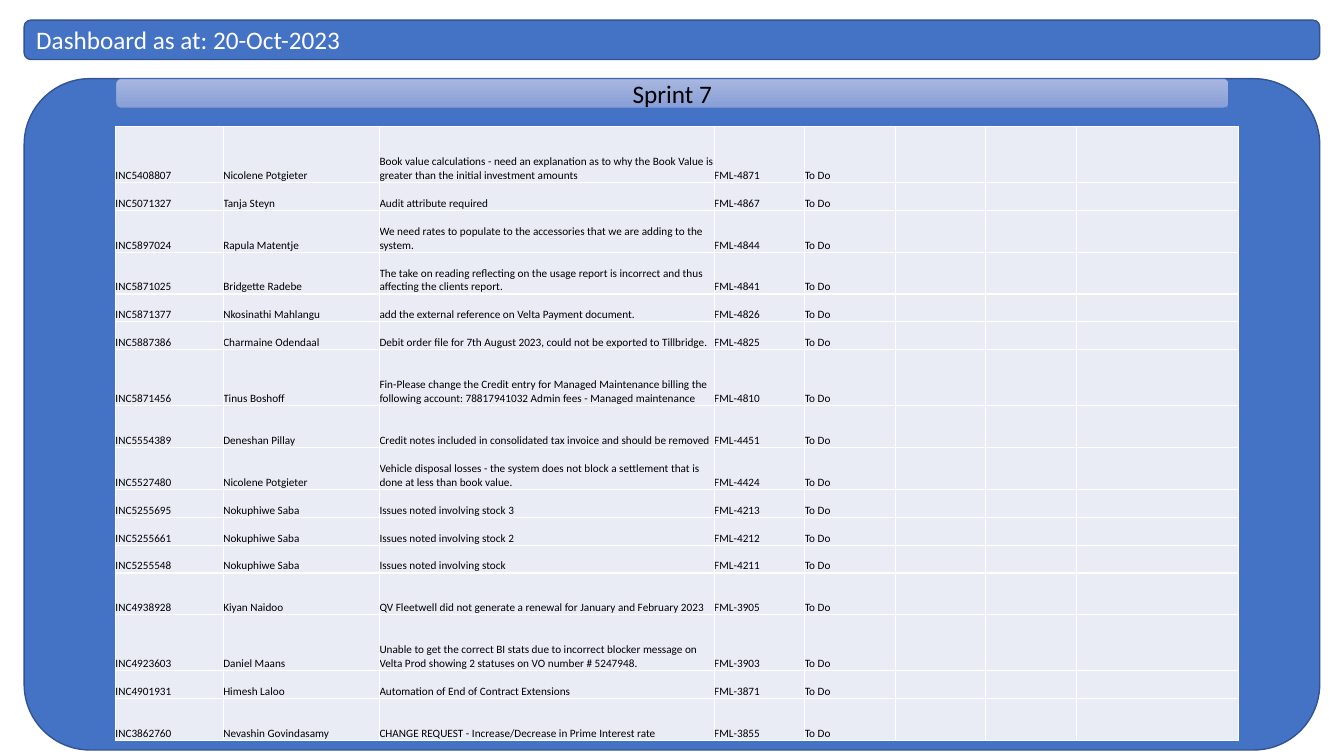
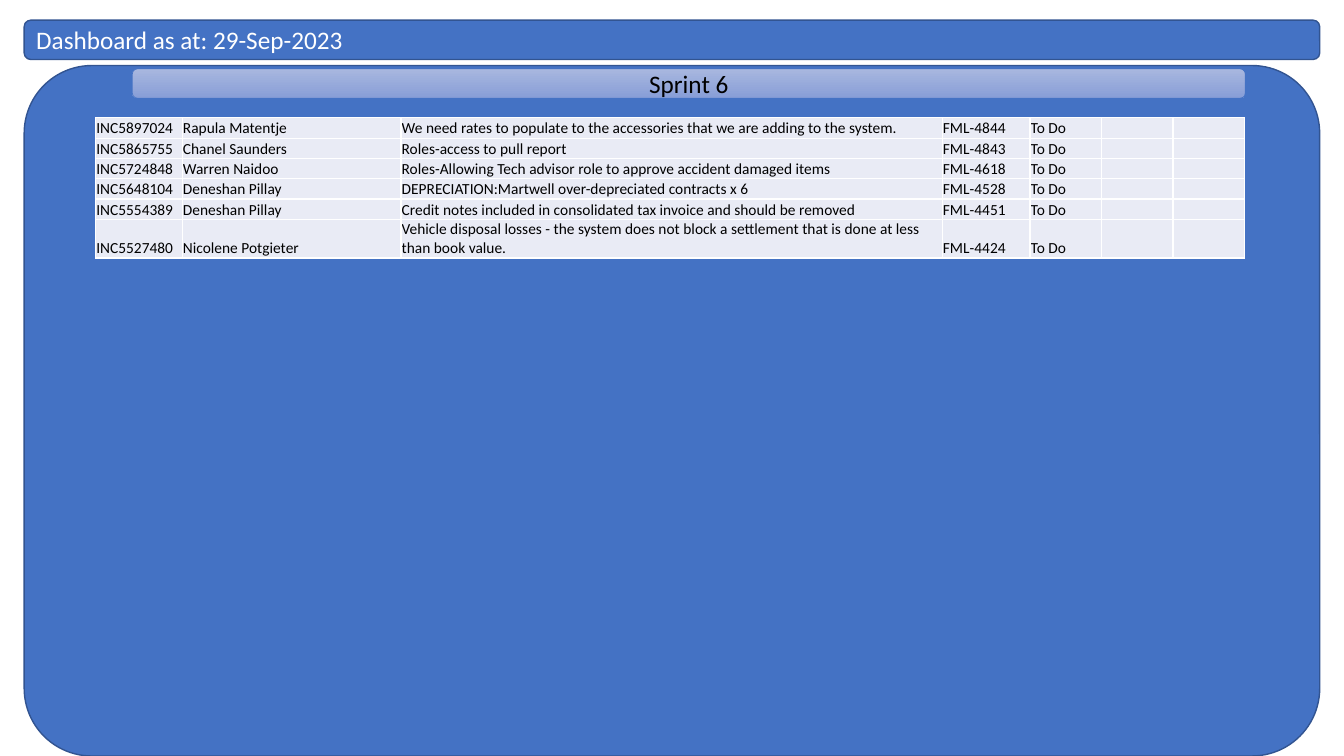
from dataclasses import dataclass

import pptx
import pptx.dml.color
import pptx.enum.shapes
import pptx.enum.text
import pptx.oxml
import pptx.oxml.ns
import pptx.util
from lxml import etree

Pt = pptx.util.Pt
RGB = pptx.dml.color.RGBColor.from_string
Anchor = pptx.enum.text.MSO_ANCHOR
Align = pptx.enum.text.PP_ALIGN


@dataclass(frozen=True)
class Theme:
    font: str = "Calibri"
    blue: str = "4472C4"
    outline: str = "325491"
    ribbon_top: str = "A8B7DF"
    ribbon_bottom: str = "889ED7"
    cell: str = "E9EBF5"
    white: str = "FFFFFF"
    black: str = "000000"
    heading_size: int = 18


THEME = Theme()
SLIDE_WIDTH, SLIDE_HEIGHT = 960, 540
MARGIN = 17.3
BAR_TOP, BAR_HEIGHT = 14.4, 28.1
FULL_WIDTH = SLIDE_WIDTH - 2 * MARGIN
RIBBON_WIDTH, RIBBON_HEIGHT = 794.9, 20.9
STATUS = "To Do"

# Each row: incident, requester, description, ticket, height in row units.
SPRINTS = [
    {
        "title": "Dashboard as at: 20-Oct-2023",
        "sprint": "Sprint 7",
        "panel": (56.2, 479.5),
        "ribbon": (82.8, 56.2),
        "table": (82.5, 90.4),
        "columns": [77, 111.6, 239.1, 64.7, 64.7, 64.7, 64.7, 116],
        "row_unit": 9.97,
        "text_size": 8,
        "inset": 0,
        "rows": [
            ("INC5408807", "Nicolene Potgieter",
             "Book value calculations - need an explanation as to why the Book Value "
             "is greater than the initial investment amounts", "FML-4871", 4),
            ("INC5071327", "Tanja Steyn", "Audit attribute required", "FML-4867", 2),
            ("INC5897024", "Rapula Matentje",
             "We need rates to populate to the accessories that we are adding to the system.",
             "FML-4844", 3),
            ("INC5871025", "Bridgette Radebe",
             "The take on reading reflecting on the usage report is incorrect and thus "
             "affecting the clients report.", "FML-4841", 3),
            ("INC5871377", "Nkosinathi Mahlangu",
             "add the external reference on Velta Payment document.", "FML-4826", 2),
            ("INC5887386", "Charmaine Odendaal",
             "Debit order file for 7th August 2023, could not be exported to Tillbridge.",
             "FML-4825", 2),
            ("INC5871456", "Tinus Boshoff",
             "Fin-Please change the Credit entry for Managed Maintenance billing the "
             "following account: 78817941032 Admin fees - Managed maintenance", "FML-4810", 4),
            ("INC5554389", "Deneshan Pillay",
             "Credit notes included in consolidated tax invoice and should be removed",
             "FML-4451", 3),
            ("INC5527480", "Nicolene Potgieter",
             "Vehicle disposal losses - the system does not block a settlement that is "
             "done at less than book value.", "FML-4424", 3),
            ("INC5255695", "Nokuphiwe Saba", "Issues noted involving stock 3", "FML-4213", 2),
            ("INC5255661", "Nokuphiwe Saba", "Issues noted involving stock 2", "FML-4212", 2),
            ("INC5255548", "Nokuphiwe Saba", "Issues noted involving stock", "FML-4211", 2),
            ("INC4938928", "Kiyan Naidoo",
             "QV Fleetwell did not generate a renewal for January and February 2023",
             "FML-3905", 3),
            ("INC4923603", "Daniel Maans",
             "Unable to get the correct BI stats due to incorrect blocker message on "
             "Velta Prod showing 2 statuses on VO number # 5247948.", "FML-3903", 4),
            ("INC4901931", "Himesh Laloo", "Automation of End of Contract Extensions",
             "FML-3871", 2),
            ("INC3862760", "Nevashin Govindasamy",
             "CHANGE REQUEST - Increase/Decrease in Prime Interest rate", "FML-3855", 3),
        ],
    },
    {
        "title": "Dashboard as at: 29-Sep-2023",
        "sprint": "Sprint 6",
        "panel": (46.8, 493.2),
        "ribbon": (94.6, 49.2),
        "table": (68.3, 84.2),
        "columns": [61.9, 156.3, 386.6, 62.7, 51.1, 51.1, 51.1],
        "row_unit": 14.5,
        "text_size": 11,
        "inset": 0.5,
        "rows": [
            ("INC5897024", "Rapula Matentje",
             "We need rates to populate to the accessories that we are adding to the system.",
             "FML-4844", 1),
            ("INC5865755", "Chanel Saunders", "Roles-access to pull report", "FML-4843", 1),
            ("INC5724848", "Warren Naidoo",
             "Roles-Allowing Tech advisor role to approve accident damaged items",
             "FML-4618", 1),
            ("INC5648104", "Deneshan Pillay",
             "DEPRECIATION:Martwell over-depreciated contracts x 6", "FML-4528", 1),
            ("INC5554389", "Deneshan Pillay",
             "Credit notes included in consolidated tax invoice and should be removed",
             "FML-4451", 1),
            ("INC5527480", "Nicolene Potgieter",
             "Vehicle disposal losses - the system does not block a settlement that is "
             "done at less than book value.", "FML-4424", 1.9),
        ],
    },
]


def set_font(paragraph, size, color):
    paragraph.font.name = THEME.font
    paragraph.font.size = Pt(size)
    paragraph.font.color.rgb = RGB(color)


def add_rounded(slide, left, top, width, height, line_color, line_width):
    shape = slide.shapes.add_shape(
        pptx.enum.shapes.MSO_SHAPE.ROUNDED_RECTANGLE,
        Pt(left), Pt(top), Pt(width), Pt(height))
    shape.shadow.inherit = False
    shape.fill.solid()
    shape.fill.fore_color.rgb = RGB(THEME.blue)
    shape.line.color.rgb = RGB(line_color)
    shape.line.width = Pt(line_width)
    return shape


def set_heading(shape, text, color, alignment, side_margin):
    frame = shape.text_frame
    frame.text = text
    frame.word_wrap = True
    frame.vertical_anchor = Anchor.MIDDLE
    frame.margin_left = frame.margin_right = Pt(side_margin)
    frame.margin_top = frame.margin_bottom = 0
    paragraph = frame.paragraphs[0]
    paragraph.alignment = alignment
    set_font(paragraph, THEME.heading_size, color)


def add_title(slide, text):
    add_rounded(slide, MARGIN, BAR_TOP, FULL_WIDTH, BAR_HEIGHT, THEME.outline, 1)
    title = slide.shapes.title
    title.left, title.top = Pt(MARGIN), Pt(BAR_TOP)
    title.width, title.height = Pt(FULL_WIDTH), Pt(BAR_HEIGHT)
    set_heading(title, text, THEME.white, Align.LEFT, 8.6)
    # Bring the title text in front of its bar.
    slide.shapes._spTree.append(title._element)


def add_ribbon(slide, left, top, text):
    ribbon = add_rounded(slide, left, top, RIBBON_WIDTH, RIBBON_HEIGHT, THEME.blue, 0.5)
    ribbon.fill.gradient()
    ribbon.fill.gradient_angle = 270
    for stop, color in zip(ribbon.fill.gradient_stops,
                           (THEME.ribbon_top, THEME.ribbon_bottom)):
        stop.color.rgb = RGB(color)
    set_heading(ribbon, text, THEME.black, Align.CENTER, 7.2)


def add_borders(cell):
    properties = cell._tc.get_or_add_tcPr()
    for position, side in enumerate(("lnL", "lnR", "lnT", "lnB")):
        properties.insert(position, pptx.oxml.parse_xml(
            f'<a:{side} {pptx.oxml.ns.nsdecls("a")} w="{Pt(1)}"><a:solidFill>'
            f'<a:srgbClr val="{THEME.white}"/></a:solidFill></a:{side}>'))


def fill_cell(cell, text, size, inset):
    cell.fill.solid()
    cell.fill.fore_color.rgb = RGB(THEME.cell)
    cell.vertical_anchor = Anchor.BOTTOM
    cell.margin_left = cell.margin_right = cell.margin_top = Pt(inset)
    cell.margin_bottom = 0
    add_borders(cell)
    cell.text = text
    paragraph = cell.text_frame.paragraphs[0]
    set_font(paragraph, size, THEME.black)
    if not text:
        # An empty cell takes its line height from the end-of-paragraph size.
        etree.SubElement(paragraph._p, pptx.oxml.ns.qn("a:endParaRPr"), sz=str(size * 100))


def add_incident_table(slide, sprint):
    columns, rows = sprint["columns"], sprint["rows"]
    heights = [row[-1] * sprint["row_unit"] for row in rows]
    left, top = sprint["table"]
    table = slide.shapes.add_table(
        len(rows), len(columns), Pt(left), Pt(top), Pt(sum(columns)), Pt(sum(heights))).table
    table.first_row = table.horz_banding = False
    for column, width in zip(table.columns, columns):
        column.width = Pt(width)
    for table_row, height, (*fields, _) in zip(table.rows, heights, rows):
        table_row.height = Pt(height)
        texts = [*fields, STATUS]
        texts += [""] * (len(columns) - len(texts))
        for cell, text in zip(table_row.cells, texts):
            fill_cell(cell, text, sprint["text_size"], sprint["inset"])


def add_sprint_slide(presentation, sprint):
    slide = presentation.slides.add_slide(presentation.slide_layouts.get_by_name("Title Only"))
    panel_top, panel_height = sprint["panel"]
    panel = add_rounded(slide, MARGIN, panel_top, FULL_WIDTH, panel_height, THEME.outline, 1)
    panel.adjustments[0] = 0.098
    add_title(slide, sprint["title"])
    add_ribbon(slide, *sprint["ribbon"], sprint["sprint"])
    add_incident_table(slide, sprint)


def main():
    presentation = pptx.Presentation()
    presentation.slide_width, presentation.slide_height = Pt(SLIDE_WIDTH), Pt(SLIDE_HEIGHT)
    for sprint in SPRINTS:
        add_sprint_slide(presentation, sprint)
    presentation.save("out.pptx")


if __name__ == "__main__":
    main()
